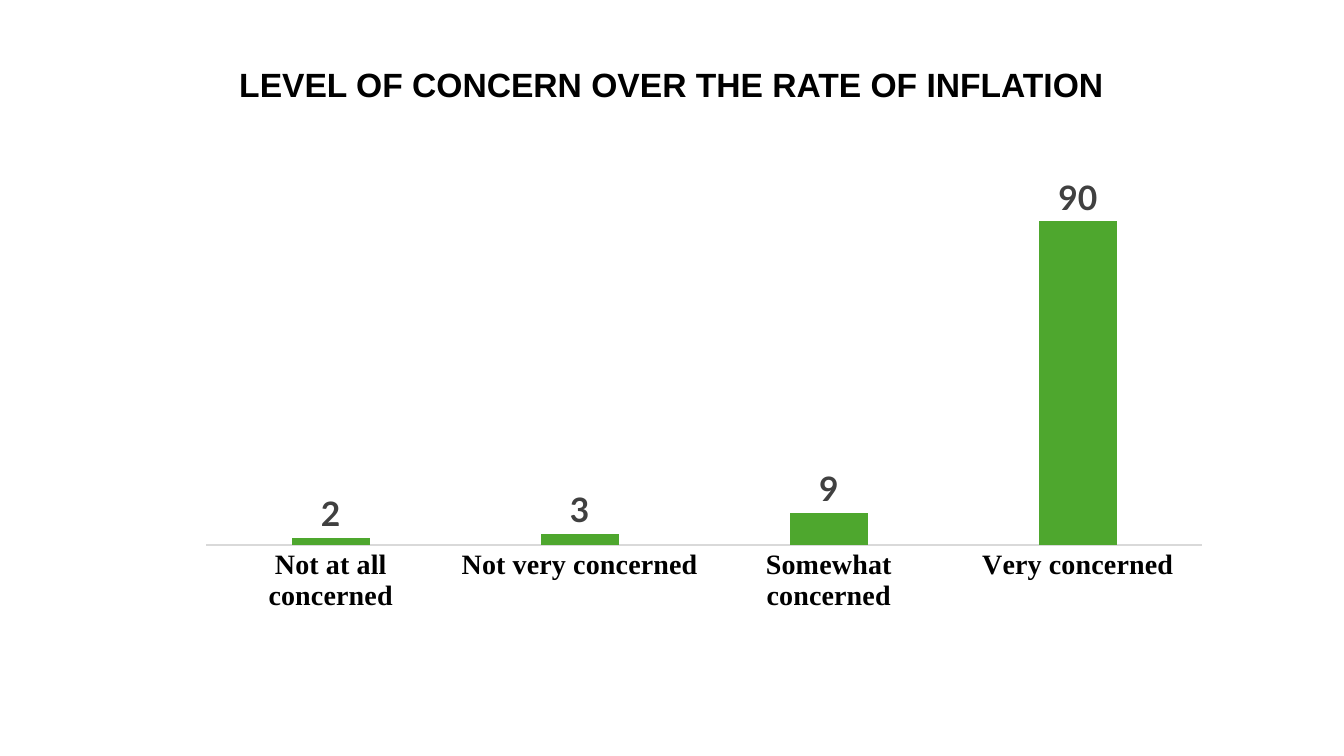
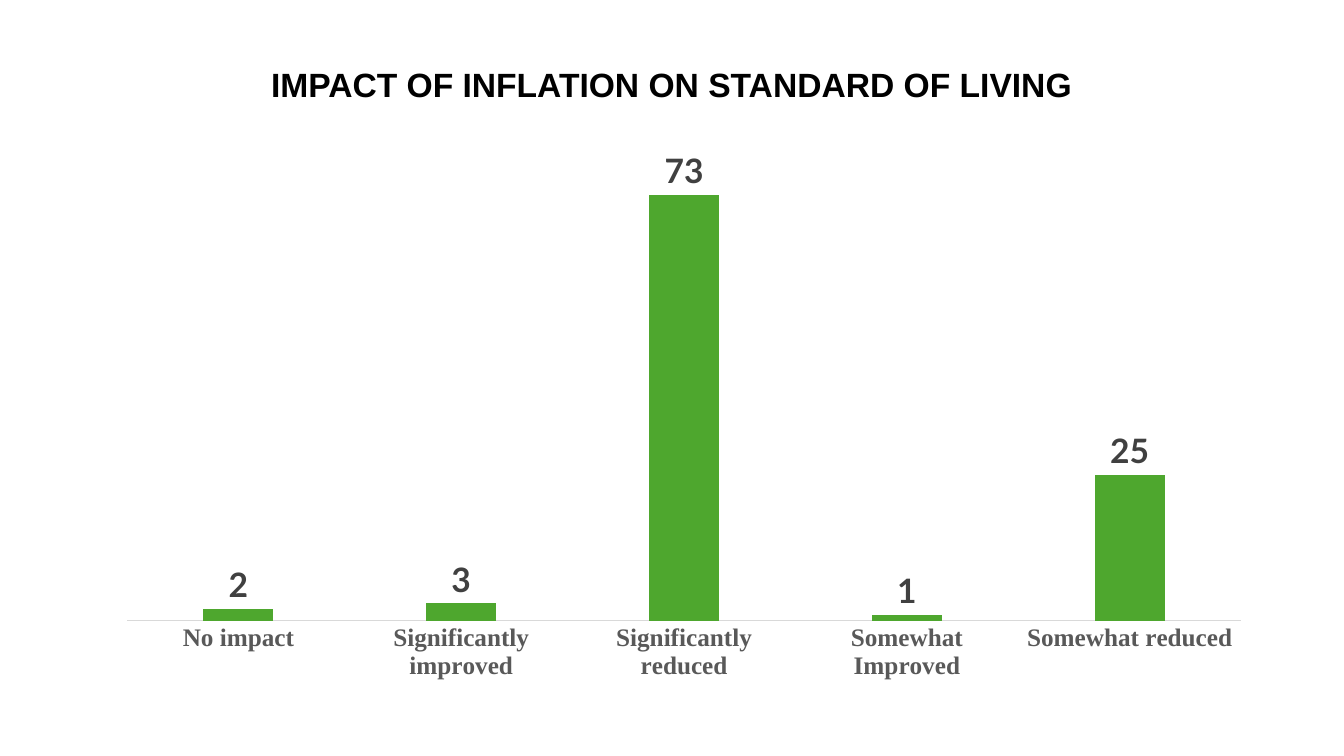
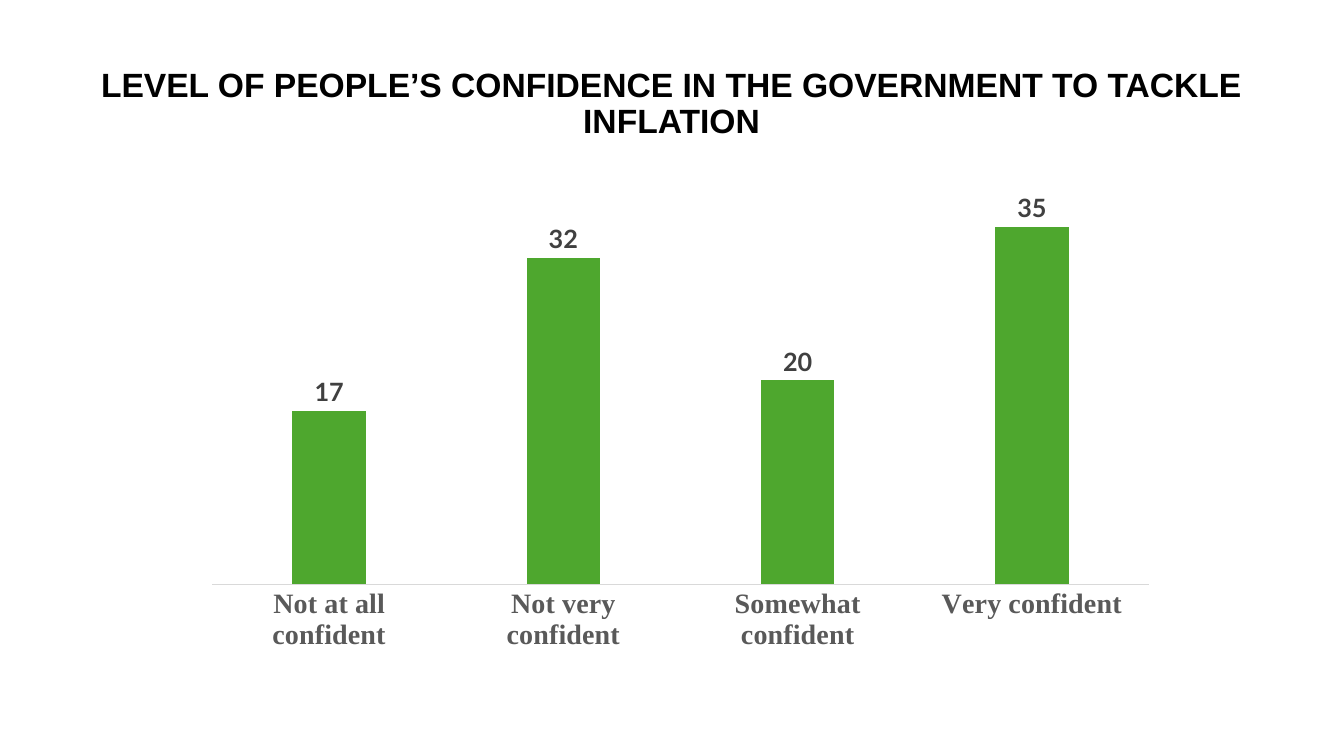
from pptx import Presentation
from pptx.chart.data import CategoryChartData
from pptx.dml.color import RGBColor
from pptx.enum.chart import XL_CHART_TYPE, XL_LABEL_POSITION, XL_TICK_MARK
from pptx.enum.text import MSO_ANCHOR, MSO_AUTO_SIZE, PP_ALIGN
from pptx.util import Inches, Pt

COLUMNS = XL_CHART_TYPE.COLUMN_CLUSTERED
OUTSIDE_END = XL_LABEL_POSITION.OUTSIDE_END
NO_TICK = XL_TICK_MARK.NONE
TOP = MSO_ANCHOR.TOP
NO_FIT = MSO_AUTO_SIZE.NONE
CENTER = PP_ALIGN.CENTER

BLACK, GREY, DARK, RULE, GREEN = "000000", "595959", "404040", "D9D9D9", "4EA72E"
TITLE_FONT, CHART_FONT, AXIS_FONT = "Arial", "Lato", "Times New Roman"
TITLE_BOX = (0.64, 0.63, 12.04, 5.93)

SLIDES = [
    {
        "title": "LEVEL OF CONCERN OVER THE RATE OF INFLATION",
        "box": (1.84, 1.75, 10.29, 4.41),
        "data": {
            "Not at all concerned": 2,
            "Not very concerned": 3,
            "Somewhat concerned": 9,
            "Very concerned": 90,
        },
        "axis_max": 100, "axis_size": 20, "axis_color": BLACK, "label_size": 24,
    },
    {
        "title": "IMPACT OF INFLATION ON STANDARD OF LIVING",
        "box": (1.03, 1.42, 11.51, 5.43),
        "data": {
            "No impact": 2,
            "Significantly improved": 3,
            "Significantly reduced": 73,
            "Somewhat Improved": 1,
            "Somewhat reduced": 25,
        },
        "axis_max": 80, "axis_size": 18, "axis_color": GREY, "label_size": 24,
    },
    {
        "title": "LEVEL OF PEOPLE’S CONFIDENCE IN THE GOVERNMENT TO TACKLE INFLATION",
        "box": (1.91, 1.65, 9.68, 4.91),
        "data": {
            "Not at all confident": 17,
            "Not very confident": 32,
            "Somewhat confident": 20,
            "Very confident": 35,
        },
        "axis_max": 40, "axis_size": 20, "axis_color": GREY, "label_size": 18,
    },
]


def rgb(color):
    return RGBColor.from_string(color)


def style_font(font, name, size, color, bold=True):
    font.name, font.size, font.bold = name, Pt(size), bold
    font.color.rgb = rgb(color)


def add_title(s, text):
    sp = s.shapes.title
    sp.left, sp.top, sp.width, sp.height = map(Inches, TITLE_BOX)
    tf = sp.text_frame
    tf.word_wrap, tf.auto_size, tf.vertical_anchor = True, NO_FIT, TOP
    p = tf.paragraphs[0]
    p.alignment, p.line_spacing, p.space_before = CENTER, 0.9, Pt(10)
    r = p.add_run()
    r.text = text
    style_font(r.font, TITLE_FONT, 24, BLACK)


def add_column_chart(s, item):
    data = CategoryChartData()
    data.categories = list(item["data"])
    data.add_series("Series 1", list(item["data"].values()))
    chart = s.shapes.add_chart(COLUMNS, *map(Inches, item["box"]), data).chart
    chart.has_legend = chart.has_title = False
    style_font(chart.font, CHART_FONT, 10, BLACK, False)

    value_axis = chart.value_axis
    value_axis.visible = value_axis.has_major_gridlines = False
    value_axis.minimum_scale, value_axis.maximum_scale = 0, item["axis_max"]

    category_axis = chart.category_axis
    category_axis.major_tick_mark = category_axis.minor_tick_mark = NO_TICK
    category_axis.format.line.color.rgb = rgb(RULE)
    category_axis.format.line.width = Pt(0.75)
    style_font(category_axis.tick_labels.font, AXIS_FONT,
               item["axis_size"], item["axis_color"])

    plot = chart.plots[0]
    plot.gap_width, plot.overlap, plot.vary_by_categories = 219, -27, False
    series = plot.series[0]
    series.format.fill.solid()
    series.format.fill.fore_color.rgb = rgb(GREEN)
    labels = series.data_labels
    labels.show_value, labels.position = True, OUTSIDE_END
    style_font(labels.font, CHART_FONT, item["label_size"], DARK)


def main():
    prs = Presentation()
    prs.slide_width, prs.slide_height = Inches(13.33), Inches(7.5)
    title_only = prs.slide_layouts[5]
    for item in SLIDES:
        s = prs.slides.add_slide(title_only)
        add_title(s, item["title"])
        add_column_chart(s, item)
    prs.save("out.pptx")


if __name__ == "__main__":
    main()
